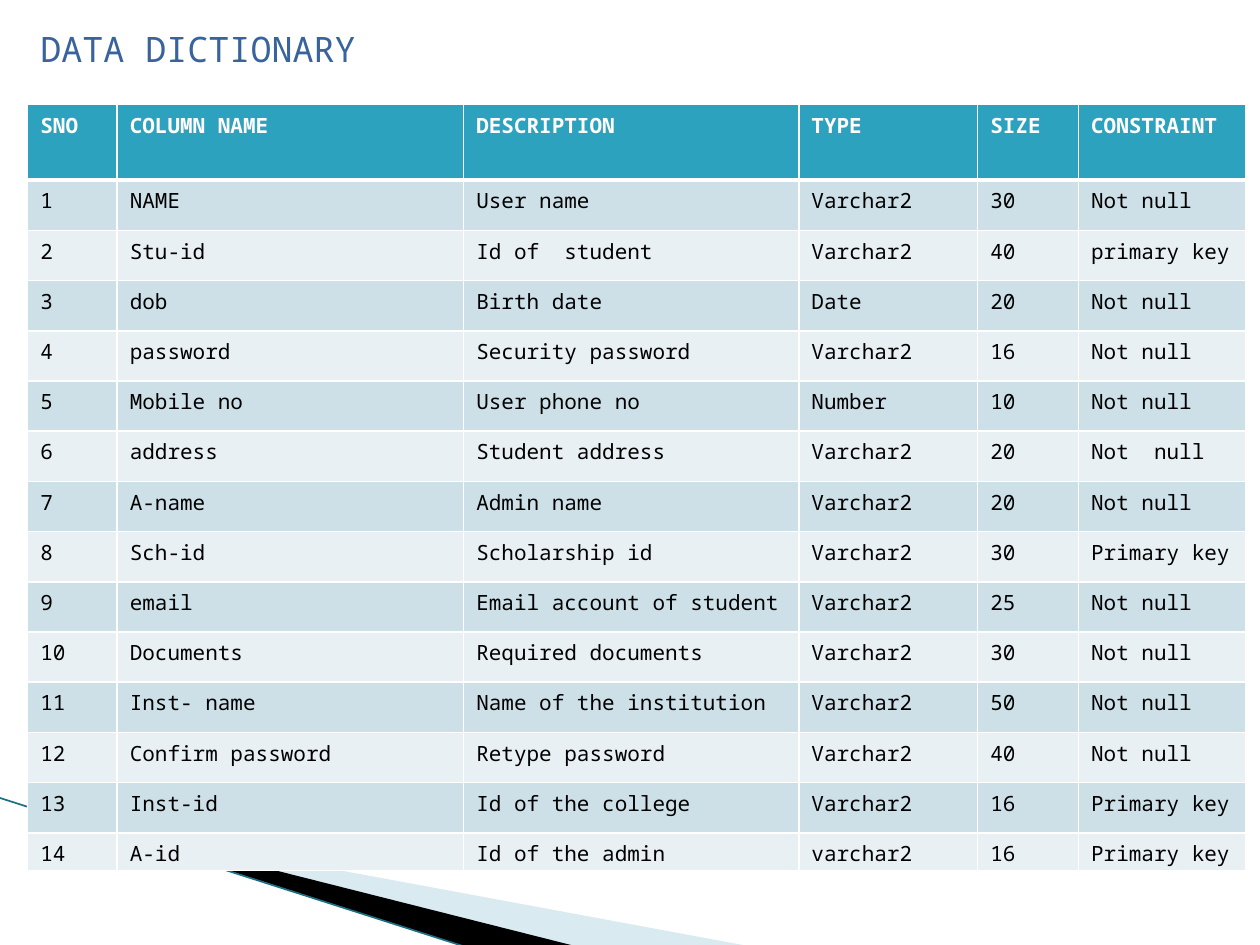
from lxml.etree import SubElement
from pptx import Presentation
from pptx.dml.color import RGBColor
from pptx.enum.text import MSO_ANCHOR, MSO_AUTO_SIZE, PP_ALIGN
from pptx.oxml.ns import qn
from pptx.util import Inches, Pt

FONT = "Noto Sans Mono"
WHITE, BLACK = "FFFFFF", "000000"
HEADER_FILL, ODD_FILL, EVEN_FILL = "2DA2BF", "CDE0E8", "E8F0F4"

HEADINGS = ("SNO", "COLUMN NAME", "DESCRIPTION", "TYPE", "SIZE", "CONSTRAINT")
FIELDS = [
    ("NAME", "User name", "Varchar2", "30", "Not null"),
    ("Stu-id", "Id of  student", "Varchar2", "40", "primary key"),
    ("dob", "Birth date", "Date", "20", "Not null"),
    ("password", "Security password", "Varchar2", "16", "Not null"),
    ("Mobile no", "User phone no", "Number", "10", "Not null"),
    ("address", "Student address", "Varchar2", "20", "Not  null"),
    ("A-name", "Admin name", "Varchar2", "20", "Not null"),
    ("Sch-id", "Scholarship id", "Varchar2", "30", "Primary key"),
    ("email", "Email account of student", "Varchar2", "25", "Not null"),
    ("Documents", "Required documents", "Varchar2", "30", "Not null"),
    ("Inst- name", "Name of the institution", "Varchar2", "50", "Not null"),
    ("Confirm password", "Retype password", "Varchar2", "40", "Not null"),
    ("Inst-id", "Id of the college", "Varchar2", "16", "Primary key"),
    ("A-id", "Id of the admin", "varchar2", "16", "Primary key"),
]

# Table grid: equal rows share what the header and last row leave
COLUMN_WIDTHS = [0.71, 2.75, 2.66, 1.42, 0.8, 1.33]
TABLE_HEIGHT, HEADER_HEIGHT, LAST_HEIGHT = 6.08, 0.6, 0.3
ROW_HEIGHT = (TABLE_HEIGHT - HEADER_HEIGHT - LAST_HEIGHT) / (len(FIELDS) - 1)


def color(hex_value):
    return RGBColor.from_string(hex_value)


def apply_format(target, values):
    for name, value in values.items():
        setattr(target, name, value)


def write(frame, text, size, hex_value, bold=False):
    paragraph = frame.paragraphs[0]
    paragraph.text = text
    paragraph.alignment = PP_ALIGN.LEFT
    font = paragraph.runs[0].font
    apply_format(font, {"name": FONT, "size": Pt(size), "bold": bold})
    font.color.rgb = color(hex_value)


def add_wedge(slide, points, hex_value, opacity=100):
    start, *corners = [(Inches(x), Inches(y)) for x, y in points]
    builder = slide.shapes.build_freeform(*start)
    builder.add_line_segments(corners, close=True)
    wedge = builder.convert_to_shape()
    wedge.shadow.inherit = False
    wedge.line.fill.background()
    wedge.fill.solid()
    wedge.fill.fore_color.rgb = color(hex_value)
    if opacity < 100:
        tint = wedge.fill._xPr.find(".//" + qn("a:srgbClr"))
        SubElement(tint, qn("a:alpha"), val=str(opacity * 1000))


def add_edge_line(slide, start, end, hex_value, width):
    edge = slide.shapes.add_connector(1, *map(Inches, start + end))
    edge.line.color.rgb = color(hex_value)
    edge.line.width = Pt(width)
    SubElement(edge._element.spPr, qn("a:effectLst"))


def set_borders(cell, top_width, bottom_width):
    properties = cell._tc.get_or_add_tcPr()
    for side, width in (("L", 1), ("R", 1), ("T", top_width), ("B", bottom_width)):
        border = SubElement(properties, qn(f"a:ln{side}"), w=str(Pt(width)))
        solid = SubElement(border, qn("a:solidFill"))
        SubElement(solid, qn("a:srgbClr"), val=WHITE)


def add_dictionary(slide, left, top):
    rows = [HEADINGS] + [(str(n), *field) for n, field in enumerate(FIELDS, 1)]
    heights = [HEADER_HEIGHT] + [ROW_HEIGHT] * (len(FIELDS) - 1) + [LAST_HEIGHT]
    table = slide.shapes.add_table(
        len(rows), len(HEADINGS), Inches(left), Inches(top),
        Inches(sum(COLUMN_WIDTHS)), Inches(TABLE_HEIGHT)).table
    for column, width in zip(table.columns, COLUMN_WIDTHS):
        column.width = Inches(width)
    for number, (row, height, texts) in enumerate(zip(table.rows, heights, rows)):
        row.height = Inches(height)
        is_header = number == 0
        band = HEADER_FILL if is_header else ODD_FILL if number % 2 else EVEN_FILL
        for cell, text in zip(row.cells, texts):
            # The thick rule under the header is shared with the first row
            set_borders(cell, 3 if number == 1 else 1, 3 if is_header else 1)
            cell.fill.solid()
            cell.fill.fore_color.rgb = color(band)
            write(cell.text_frame, text, 12, WHITE if is_header else BLACK, is_header)


def add_title(slide, text):
    title = slide.shapes.title
    apply_format(title, {"left": Inches(0.22), "top": Inches(0.17),
                         "width": Inches(3.28), "height": Inches(0.44)})
    apply_format(title.text_frame, {
        "word_wrap": False, "auto_size": MSO_AUTO_SIZE.SHAPE_TO_FIT_TEXT,
        "vertical_anchor": MSO_ANCHOR.TOP})
    write(title.text_frame, text, 20, "39639D")


def main():
    deck = Presentation()
    apply_format(deck, {"slide_width": Inches(10), "slide_height": Inches(7.5)})
    slide = deck.slides.add_slide(deck.slide_layouts[5])

    # Sweep in the bottom left corner, behind the table
    add_wedge(slide, [(0.55, 6.51), (5.95, 7.51), (4.56, 7.51), (0.55, 6.5)],
              "A0CBDC", opacity=40)
    add_wedge(slide, [(0.53, 6.49), (4.57, 7.51), (3.72, 7.52), (0.54, 6.5)], BLACK)
    add_edge_line(slide, (-0.01, 6.33), (3.71, 7.52), "1C6F83", 0.95)

    # Table and heading
    add_dictionary(slide, 0.22, 0.83)
    add_title(slide, "DATA DICTIONARY")
    deck.save("out.pptx")


if __name__ == "__main__":
    main()
